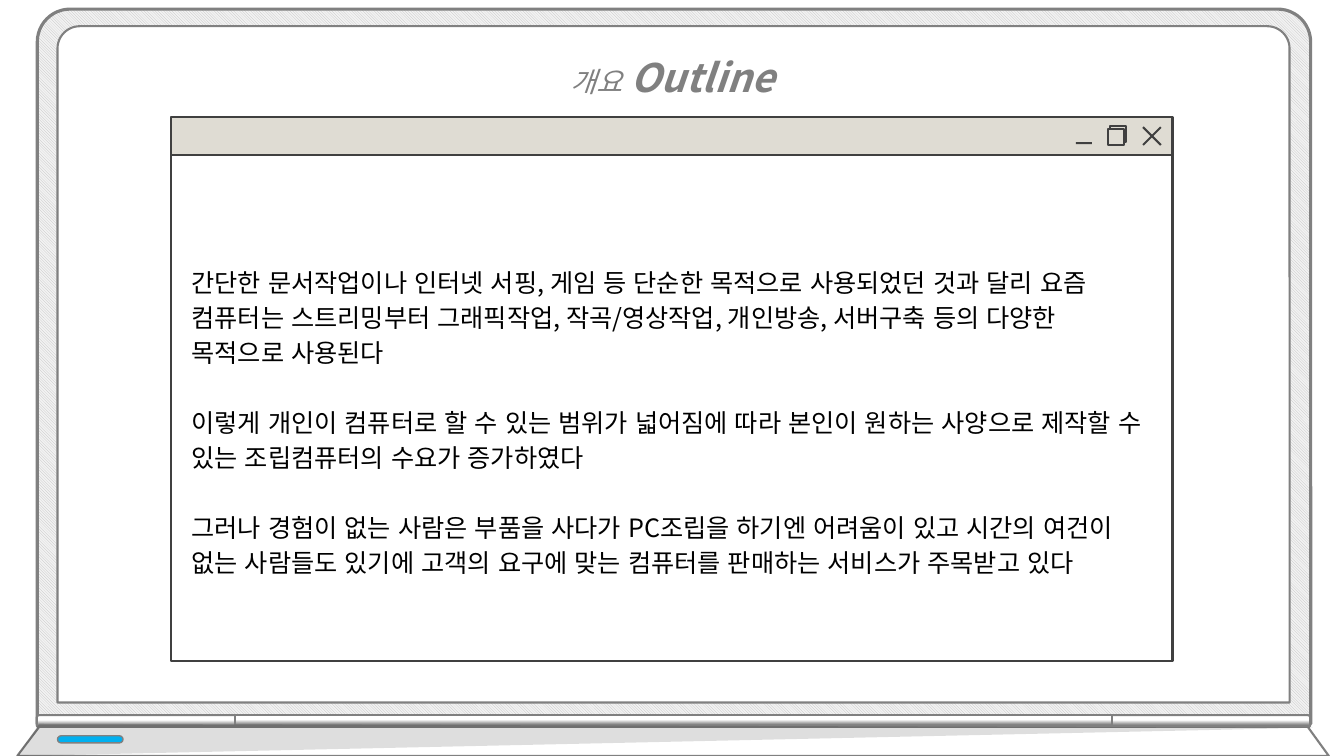
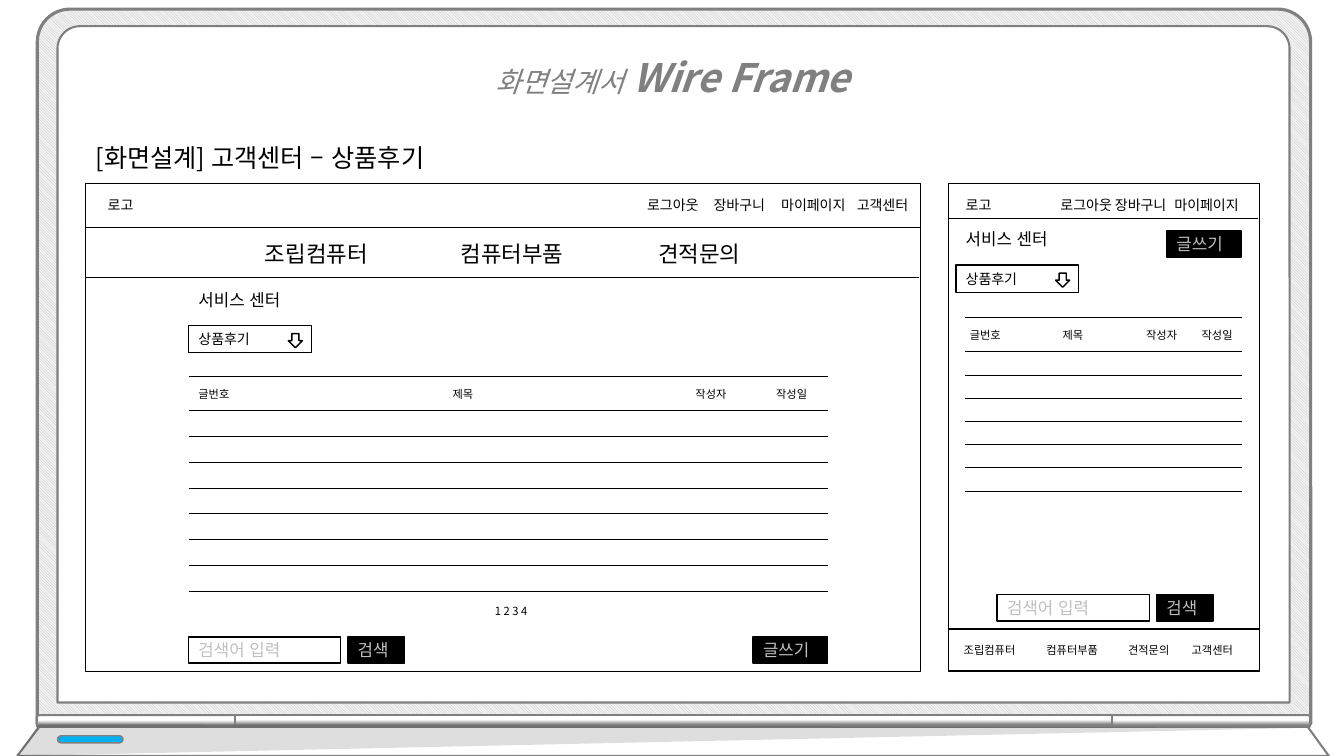
from dataclasses import dataclass

from lxml.etree import SubElement
from pptx import Presentation
from pptx.dml.color import RGBColor
from pptx.enum.dml import MSO_PATTERN
from pptx.enum.lang import MSO_LANGUAGE_ID
from pptx.enum.shapes import MSO_CONNECTOR, MSO_SHAPE
from pptx.enum.text import MSO_AUTO_SIZE, PP_ALIGN
from pptx.oxml.ns import qn
from pptx.util import Inches, Pt


@dataclass(frozen=True)
class Theme:
    font: str = "Noto Sans CJK KR"
    black: RGBColor = RGBColor(0x00, 0x00, 0x00)
    white: RGBColor = RGBColor(0xFF, 0xFF, 0xFF)
    gray: RGBColor = RGBColor(0x80, 0x80, 0x80)
    silver: RGBColor = RGBColor(0xBF, 0xBF, 0xBF)
    pale: RGBColor = RGBColor(0xF2, 0xF2, 0xF2)
    charcoal: RGBColor = RGBColor(0x40, 0x40, 0x40)
    beige: RGBColor = RGBColor(0xDF, 0xDC, 0xD3)
    blue: RGBColor = RGBColor(0x00, 0xB0, 0xF0)
    title: int = 28
    subtitle: int = 20
    body: int = 18
    menu: int = 16
    control: int = 12
    nav: int = 10
    small: int = 8


T = Theme()
RECT = MSO_SHAPE.RECTANGLE
ROUND_TOP = MSO_SHAPE.ROUND_2_SAME_RECTANGLE


def draw(shapes, kind, box, fill=None, line=None, width=1, rot=0, adj=()):
    """Add a preset shape, or a wrapping text box when kind is None."""
    box = [Inches(v) for v in box]
    if kind is None:
        sp = shapes.add_textbox(*box)
        sp.text_frame.word_wrap = True
        sp.text_frame.auto_size = MSO_AUTO_SIZE.SHAPE_TO_FIT_TEXT
        return sp
    sp = shapes.add_shape(kind, *box)
    sp.shadow.inherit = False
    sp.rotation = rot
    for i, value in enumerate(adj):
        sp.adjustments[i] = value
    if fill is not None:
        sp.fill.solid()
        sp.fill.fore_color.rgb = fill
    if line is None:
        sp.line.fill.background()
    else:
        sp.line.color.rgb = line
        sp.line.width = Pt(width)
    return sp


def write(sp, text, size, color=T.black, bold=False, italic=False,
          align=PP_ALIGN.LEFT, spacing=None, after=0):
    """Append text to the last paragraph; each newline starts another one."""
    tf = sp.text_frame
    for i, part in enumerate(text.split("\n")):
        p = tf.add_paragraph() if i else tf.paragraphs[-1]
        p.alignment = align
        p.line_spacing = spacing
        p.space_after = Pt(after)
        r = p.add_run()
        r.text = part
        r.font.name = T.font
        r.font.size = Pt(size)
        r.font.color.rgb = color
        r.font.bold = bold
        r.font.italic = italic
        r.font.language_id = MSO_LANGUAGE_ID.KOREAN
        SubElement(r.font._element, qn("a:ea"), typeface=T.font)


prs = Presentation()
prs.slide_width, prs.slide_height = Inches(13.33), Inches(7.5)

# Laptop frame and title on every slide
slides = []
for korean, english in [("개요", "Outline"), ("화면설계서", "Wire Frame")]:
    s = prs.slides.add_slide(prs.slide_layouts[6])
    slides.append(s)
    laptop = s.shapes.add_group_shape().shapes
    lid = draw(laptop, ROUND_TOP, (0.37, 0.09, 12.63, 7.09), None, T.gray, 2.25,
               adj=(0.046, 0))
    lid.fill.patterned()
    lid.fill.pattern = MSO_PATTERN.LIGHT_DOWNWARD_DIAGONAL
    lid.fill.fore_color.rgb = T.silver
    lid.fill.back_color.rgb = T.pale
    draw(laptop, ROUND_TOP, (0.57, 0.26, 12.22, 6.71), T.white, T.gray, 1.5,
         adj=(0.033, 0))

    for box, rot, corner, angle in [
        ((1.29, 6.17, 0.12, 1.97), 270, 0.193, 0),
        ((11.95, 6.17, 0.12, 1.97), 90, 0.193, 180),
        ((6.62, 2.8, 0.12, 8.7), 270, 0, 0),
    ]:
        hinge = draw(laptop, ROUND_TOP, box, None, T.gray, 1.5, rot, (corner, 0))
        hinge.fill.gradient()
        hinge.fill.gradient_angle = angle
        stops = [(0.17, T.gray), (0.59, T.white)]
        for stop, (position, color) in zip(hinge.fill.gradient_stops, stops):
            stop.position = position
            stop.color.rgb = color

    for points, color in [
        ([(0.39, 7.21), (12.97, 7.21), (13.18, 7.5), (0.17, 7.5)], T.white),
        ([(0.39, 7.18), (0.17, 7.5), (13.02, 7.22)], T.black),
    ]:
        start, *rest = [(Inches(x), Inches(y)) for x, y in points]
        outline = laptop.build_freeform(*start)
        outline.add_line_segments(rest, close=True)
        base = outline.convert_to_shape()
        base.shadow.inherit = False
        base.fill.solid()
        base.fill.fore_color.rgb = color
        if color == T.white:
            base.line.color.rgb = T.gray
            base.line.width = Pt(1.5)
        else:
            base.line.fill.background()
            rgb = base._element.spPr.find(qn("a:solidFill")).find(qn("a:srgbClr"))
            SubElement(rgb, qn("a:alpha"), val="13000")

    draw(laptop, MSO_SHAPE.ROUNDED_RECTANGLE, (0.57, 7.3, 0.65, 0.07), T.blue,
         T.gray, adj=(0.5,))
    title = draw(s.shapes, None, (3.67, 0.25, 6, 0.72))
    style = dict(color=T.gray, italic=True, align=PP_ALIGN.CENTER, spacing=1.5)
    write(title, korean + " ", T.subtitle, **style)
    write(title, english, T.title, bold=True, **style)

outline_slide, wireframe_slide = slides

# Outline: text in a program window
window = outline_slide.shapes.add_group_shape().shapes
draw(window, RECT, (1.7, 1.16, 9.93, 0.38), T.beige, T.charcoal, 1.5)
page = draw(window, RECT, (1.7, 1.54, 9.93, 5.02), T.white, T.charcoal, 1.5)
tf = page.text_frame
tf.word_wrap = True
tf.margin_left = tf.margin_right = Inches(0.2)
tf.margin_top = Inches(0.28)
write(
    page,
    "간단한 문서작업이나 인터넷 서핑, 게임 등 단순한 목적으로 사용되었던 것과 달리 요즘 "
    "컴퓨터는 스트리밍부터 그래픽작업, 작곡/영상작업, 개인방송, 서버구축 등의 다양한 "
    "목적으로 사용된다\n"
    "이렇게 개인이 컴퓨터로 할 수 있는 범위가 넓어짐에 따라 본인이 원하는 사양으로 제작할 수 "
    "있는 조립컴퓨터의 수요가 증가하였다\n"
    "그러나 경험이 없는 사람은 부품을 사다가 PC조립을 하기엔 어려움이 있고 시간의 여건이 "
    "없는 사람들도 있기에 고객의 요구에 맞는 컴퓨터를 판매하는 서비스가 주목받고 있다",
    T.body, spacing=Pt(25), after=25,
)
tf.paragraphs[-1].space_after = Pt(0)
draw(window, RECT, (10.67, 1.41, 0.16, 0.02), T.charcoal)
for x, y in [(11.01, 1.25), (10.99, 1.28)]:
    draw(window, RECT, (x, y, 0.16, 0.16), T.beige, T.charcoal, 1.5)
for rot in (45, 315):
    draw(window, RECT, (11.3, 1.34, 0.25, 0.02), T.charcoal, rot=rot)

# Wire frame: desktop and mobile screens
shapes = wireframe_slide.shapes
for box in [
    (0.85, 1.82, 8.28, 4.84),
    (0.85, 1.82, 8.28, 0.44),
    (9.41, 1.82, 3.08, 4.84),
    (9.41, 6.24, 3.08, 0.41),
]:
    draw(shapes, RECT, box, T.white, T.black)

rules = [(0.85, 9.11, 2.75), (9.41, 12.48, 2.17)]
labels = [
    ("[화면설계] 고객센터 – 상품후기", 0.85, 1.36, 4.68, T.body),
    ("1 2 3 4", 4.81, 5.95, 0.6, T.small),
]
for size, y, width, items in [
    (T.nav, 1.9, 0.9, [
        ("로고", 0.97), ("로그아웃", 6.32), ("장바구니", 6.98), ("마이페이지", 7.65),
        ("고객센터", 8.4), ("로고", 9.48), ("로그아웃", 10.42), ("장바구니", 10.96),
        ("마이페이지", 11.55)]),
    (T.menu, 2.33, 1.6, [
        ("조립컴퓨터", 2.53), ("컴퓨터부품", 4.47), ("견적문의", 6.43)]),
    (T.small, 6.33, 0.81, [
        ("조립컴퓨터", 9.46), ("컴퓨터부품", 10.28), ("견적문의", 11.09),
        ("고객센터", 11.72)]),
]:
    labels += [(text, x, y, width, size) for text, x in items]

# Review board: selector corner, search corner, write button corner,
# table left, right, top, row count and row height, column positions
for selector, search, button, left, right, top, rows, step, columns in [
    ((1.87, 3.23), (1.87, 6.32), (7.47, 6.32),
     1.87, 8.21, 3.73, 7, 0.257, (1.87, 4.39, 6.8, 7.6)),
    ((9.48, 2.63), (9.89, 5.9), (11.57, 2.29),
     9.57, 12.32, 3.15, 6, 0.23, (9.52, 10.44, 11.27, 11.82)),
]:
    x, y = selector
    labels.append(("서비스 센터", x, y - 0.41, 1.22, T.control))
    search_button = (search[0] + 1.58, search[1])
    for text, corner, width, height, fill, color, size in [
        ("상품후기", selector, 1.22, 0.27, T.white, T.black, T.nav),
        ("검색어 입력", search, 1.51, 0.26, T.white, T.silver, T.control),
        ("검색", search_button, 0.56, 0.26, T.black, T.silver, T.control),
        ("글쓰기", button, 0.74, 0.26, T.black, T.silver, T.control),
    ]:
        control = draw(shapes, RECT, (*corner, width, height), fill, T.black)
        write(control, text, size, color)
    draw(shapes, MSO_SHAPE.DOWN_ARROW, (x + 0.99, y + 0.08, 0.14, 0.14),
         T.white, T.black)

    rules.append((left, right, top))
    rules += [(left, right, top + 0.34 + i * step) for i in range(rows + 1)]
    for text, column in zip(("글번호", "제목", "작성자", "작성일"), columns):
        labels.append((text, column, top + 0.06, 0.6, T.small))

for x1, x2, y in rules:
    rule = shapes.add_connector(MSO_CONNECTOR.STRAIGHT, Inches(x1), Inches(y),
                                Inches(x2), Inches(y))
    rule.line.color.rgb = T.black
    rule.line.width = Pt(0.5)
    SubElement(rule._element.spPr, qn("a:effectLst"))

for text, x, y, width, size in labels:
    write(draw(shapes, None, (x, y, width, size / 50 + 0.08)), text, size)

prs.save("out.pptx")
